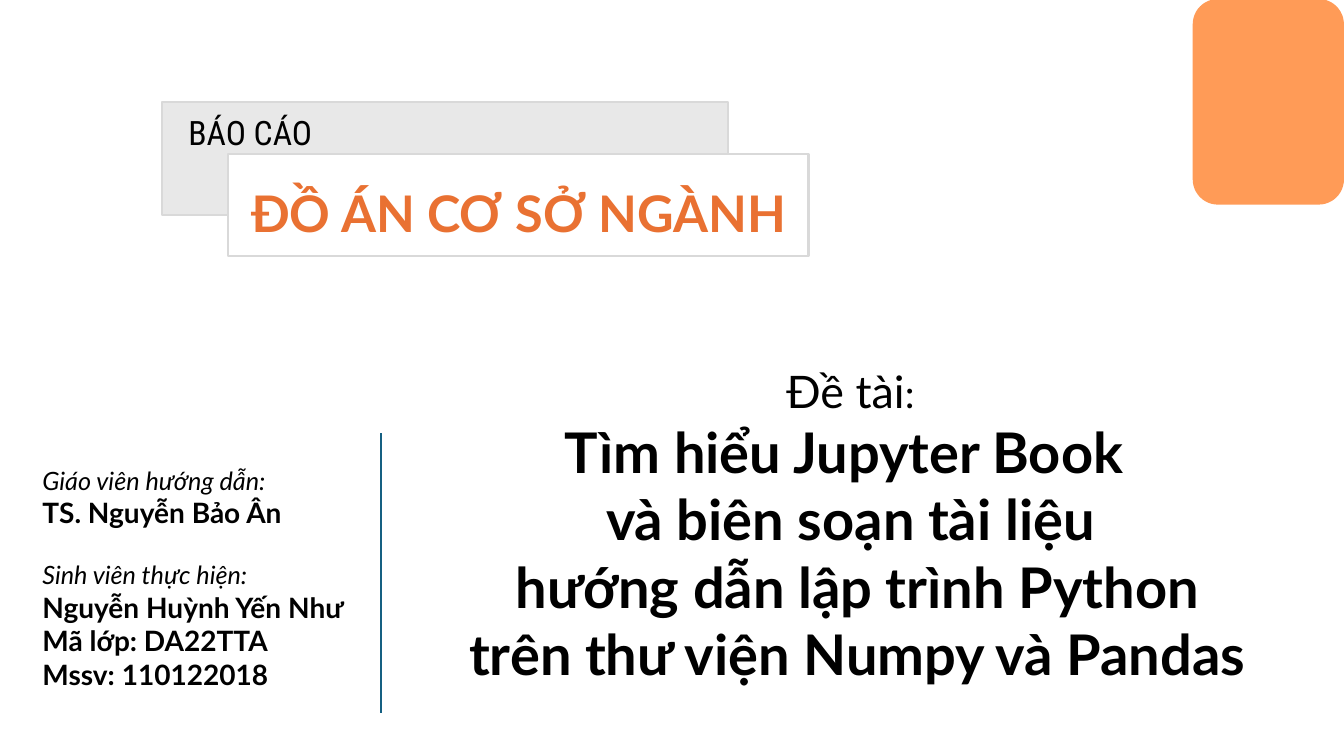
from dataclasses import dataclass

from lxml.etree import SubElement
from pptx import Presentation
from pptx.dml.color import RGBColor
from pptx.enum.shapes import MSO_CONNECTOR, MSO_SHAPE
from pptx.enum.text import MSO_ANCHOR, MSO_AUTO_SIZE, PP_ALIGN
from pptx.oxml.ns import qn
from pptx.util import Inches, Pt


@dataclass(frozen=True)
class Theme:
    font: str = "Lato"
    label_font: str = "Roboto Condensed"
    ink: str = "000000"
    accent: str = "E97132"
    corner: str = "FF9B57"
    panel: str = "E8E8E8"
    paper: str = "FFFFFF"
    border: str = "D9D9D9"
    rule: str = "156082"
    caption: int = 18
    name: int = 20
    label: int = 24
    colon: int = 28
    lead: int = 32
    heading: int = 36
    topic: int = 40
    line: float = 1.5


class Deck:
    def __init__(self, prs, theme):
        self.theme = theme
        self.s = prs.slides.add_slide(prs.slide_layouts[0])

    def style(self, font, size, bold=False, italic=False, color=None, name=None):
        font.name = name or self.theme.font
        font.size = Pt(size)
        font.bold, font.italic = bold, italic
        font.color.rgb = RGBColor.from_string(color or self.theme.ink)

    def fill_text(self, sp, lines, align=PP_ALIGN.LEFT):
        """Each line is (text, font style, points of space before)."""
        tf = sp.text_frame
        tf.word_wrap = True
        tf.auto_size = MSO_AUTO_SIZE.SHAPE_TO_FIT_TEXT
        tf.vertical_anchor = MSO_ANCHOR.TOP
        for i, (text, font, before) in enumerate(lines):
            p = tf.paragraphs[0] if i == 0 else tf.add_paragraph()
            p.alignment = align
            p.space_before, p.space_after, p.line_spacing = Pt(before), Pt(0), 1.0
            p.add_run().text = text
            self.style(p.font, **font)
        return tf

    def placeholder(self, sp, x, y, w, h, lines, align=PP_ALIGN.LEFT):
        sp.left, sp.top, sp.width, sp.height = map(Inches, (x, y, w, h))
        return self.fill_text(sp, lines, align)

    def text(self, x, y, w, h, lines, align=PP_ALIGN.LEFT):
        sp = self.s.shapes.add_textbox(*map(Inches, (x, y, w, h)))
        return self.fill_text(sp, lines, align)

    def box(self, x, y, w, h, fill, line=None, kind=MSO_SHAPE.RECTANGLE):
        sp = self.s.shapes.add_shape(kind, *map(Inches, (x, y, w, h)))
        sp.shadow.inherit = False
        sp.fill.solid()
        sp.fill.fore_color.rgb = RGBColor.from_string(fill)
        if line:
            sp.line.color.rgb = RGBColor.from_string(line)
            sp.line.width = Pt(self.theme.line)
        else:
            sp.line.fill.background()

    def rule(self, x1, y1, x2, y2, color):
        c = self.s.shapes.add_connector(
            MSO_CONNECTOR.STRAIGHT, *map(Inches, (x1, y1, x2, y2)))
        c.line.color.rgb = RGBColor.from_string(color)
        c.line.width = Pt(self.theme.line)
        SubElement(c._element.spPr, qn("a:effectLst"))


def main():
    prs = Presentation()
    prs.slide_width, prs.slide_height = Inches(13.33), Inches(7.5)
    t = Theme()
    deck = Deck(prs, t)
    title, people = deck.s.placeholders

    # Supervisor and student
    caption = dict(size=t.caption, italic=True)
    name = dict(size=t.name, bold=True)
    deck.placeholder(people, 0.32, 4.57, 3.46, 2.36, [
        ("Giáo viên hướng dẫn:", caption, 0),
        ("TS. Nguyễn Bảo Ân", name, 0),
        ("Sinh viên thực hiện:", caption, 21.6),
        ("Nguyễn Huỳnh Yến Như", name, 0),
        ("Mã lớp: DA22TTA", name, 0),
        ("Mssv: 110122018", name, 0),
    ])
    deck.rule(3.78, 4.3, 3.78, 7.07, t.rule)

    # Topic
    topic = dict(size=t.topic, bold=True)
    tf = deck.placeholder(title, 4.04, 3.56, 8.79, 3.33, [
        ("Đề tài", dict(size=t.lead), 0),
        ("Tìm hiểu Jupyter Book ", topic, 0),
        ("và biên soạn tài liệu", topic, 0),
        (" hướng dẫn lập trình Python", topic, 0),
        (" trên thư viện Numpy và Pandas", topic, 0),
    ], PP_ALIGN.CENTER)
    r = tf.paragraphs[0].add_run()
    r.text = ":"
    r.font.size = Pt(t.colon)

    # Report heading on two overlapping panels
    deck.box(1.61, 1.01, 5.61, 1.12, t.panel, t.border)
    deck.box(2.26, 1.53, 5.76, 1.01, t.paper, t.border)
    deck.text(1.77, 1.76, 6.75, 0.71, [
        ("ĐỒ ÁN CƠ SỞ NGÀNH", dict(size=t.heading, bold=True, color=t.accent), 0),
    ], PP_ALIGN.CENTER)
    deck.text(1.77, 1.06, 2.93, 0.5, [
        ("BÁO CÁO", dict(size=t.label, name=t.label_font), 0),
    ])

    # Corner block
    deck.box(11.83, -0.01, 1.5, 2.04, t.corner, kind=MSO_SHAPE.ROUNDED_RECTANGLE)

    prs.save("out.pptx")


if __name__ == "__main__":
    main()
